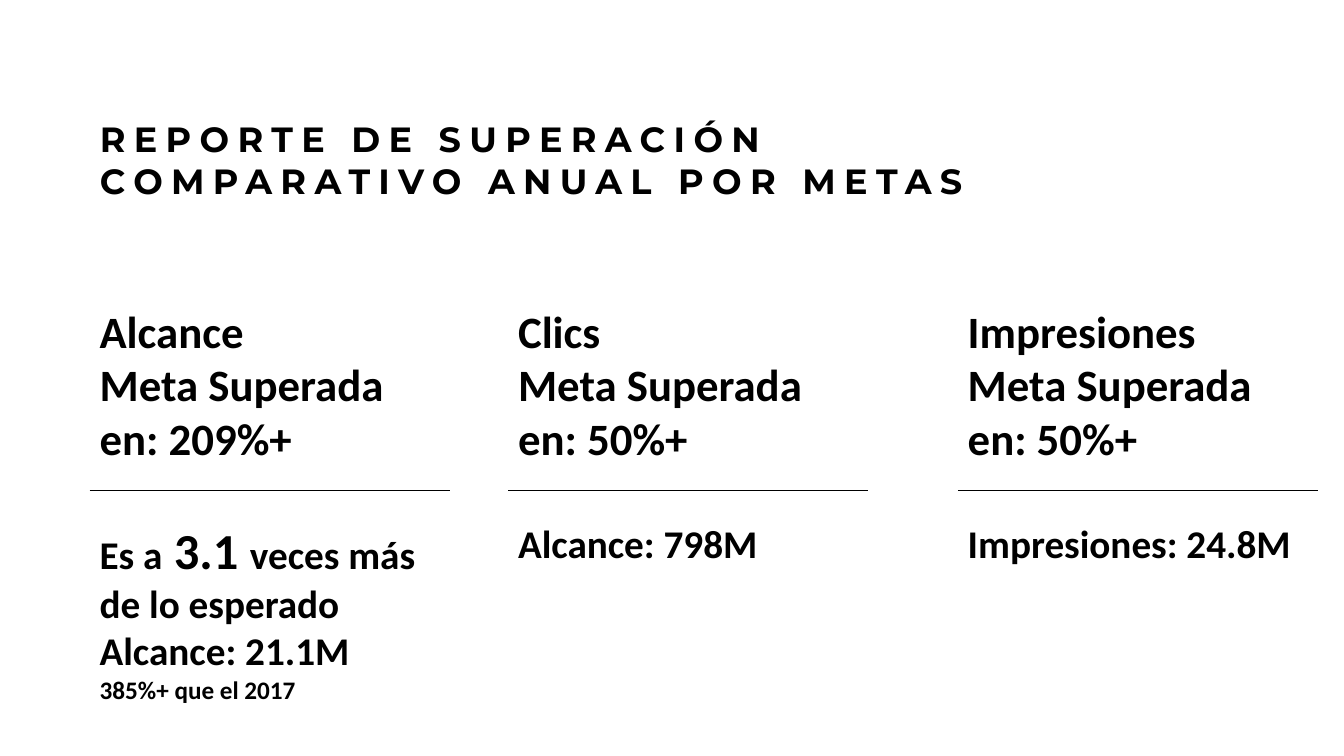
from lxml.etree import SubElement
from pptx import Presentation
from pptx.dml.color import RGBColor
from pptx.enum.shapes import MSO_CONNECTOR as CONNECTOR
from pptx.enum.text import MSO_ANCHOR as ANCHOR, MSO_AUTO_SIZE as AUTO_SIZE, PP_ALIGN as ALIGN
from pptx.oxml.ns import qn
from pptx.util import Inches, Pt

COLORS = {"ink": "000000", "paper": "FFFFFF"}
COLUMN_WIDTH = 3.57
COLUMN_TOP = 2.96
RULE_TOP = 4.86


class MetricsSlide:
    def __init__(self, prs):
        self.slide = prs.slides.add_slide(prs.slide_layouts[5])
        background = self.slide.background.fill
        background.solid()
        background.fore_color.rgb = RGBColor.from_string(COLORS["paper"])

    def style(self, run, font_name, size):
        run.font.name = font_name
        run.font.size = Pt(size)
        run.font.bold = True
        run.font.color.rgb = RGBColor.from_string(COLORS["ink"])

    def title(self, text, left, top, width, height):
        heading = self.slide.shapes.title
        heading.left, heading.top = Inches(left), Inches(top)
        heading.width, heading.height = Inches(width), Inches(height)
        frame = heading.text_frame
        frame.text = text
        frame.word_wrap = True
        frame.auto_size = AUTO_SIZE.NONE
        frame.vertical_anchor = ANCHOR.TOP
        for paragraph in frame.paragraphs:
            paragraph.alignment = ALIGN.LEFT
            for run in paragraph.runs:
                self.style(run, "Montserrat", 25)
                run._r.get_or_add_rPr().set("spc", "600")

    def rule(self, left):
        line = self.slide.shapes.add_connector(
            CONNECTOR.STRAIGHT, Inches(left), Inches(RULE_TOP),
            Inches(left + COLUMN_WIDTH), Inches(RULE_TOP))
        line.line.color.rgb = RGBColor.from_string(COLORS["ink"])
        line.line.width = Pt(0.5)
        SubElement(line._element.spPr, qn("a:effectLst"))

    def metric(self, left, height, goal, results):
        box = self.slide.shapes.add_textbox(
            Inches(left), Inches(COLUMN_TOP), Inches(COLUMN_WIDTH), Inches(height))
        frame = box.text_frame
        frame.word_wrap = True
        goal_lines = [[(text, 32)] for text in goal]
        for index, parts in enumerate(goal_lines + results):
            paragraph = frame.paragraphs[0] if index == 0 else frame.add_paragraph()
            if index == len(goal_lines):
                paragraph.space_before = Pt(39)
            for text, size in parts:
                run = paragraph.add_run()
                run.text = text
                self.style(run, "Calibri", size)
        self.rule(left)


def main():
    prs = Presentation()
    prs.slide_width, prs.slide_height = Inches(13.33), Inches(7.5)
    report = MetricsSlide(prs)
    report.title("REPORTE DE SUPERACIÓN\nCOMPARATIVO ANUAL POR METAS", 0.89, 1.12, 11.28, 0.94)
    metrics = [
        (0.89, 4.11, ["Alcance", "Meta Superada en: 209%+"], [
            [("Es a", 28), (" 3.1 ", 36), ("veces más de lo esperado", 28)],
            [("Alcance: 21.1M", 28)],
            [("385%+ que el 2017", 18)]]),
        (5.04, 2.73, ["Clics", "Meta Superada en: 50%+"], [[("Alcance: 798M", 28)]]),
        (9.5, 2.73, ["Impresiones", "Meta Superada en: 50%+"], [[("Impresiones: 24.8M", 28)]]),
    ]
    for left, height, goal, results in metrics:
        report.metric(left, height, goal, results)
    prs.save("out.pptx")


if __name__ == "__main__":
    main()
